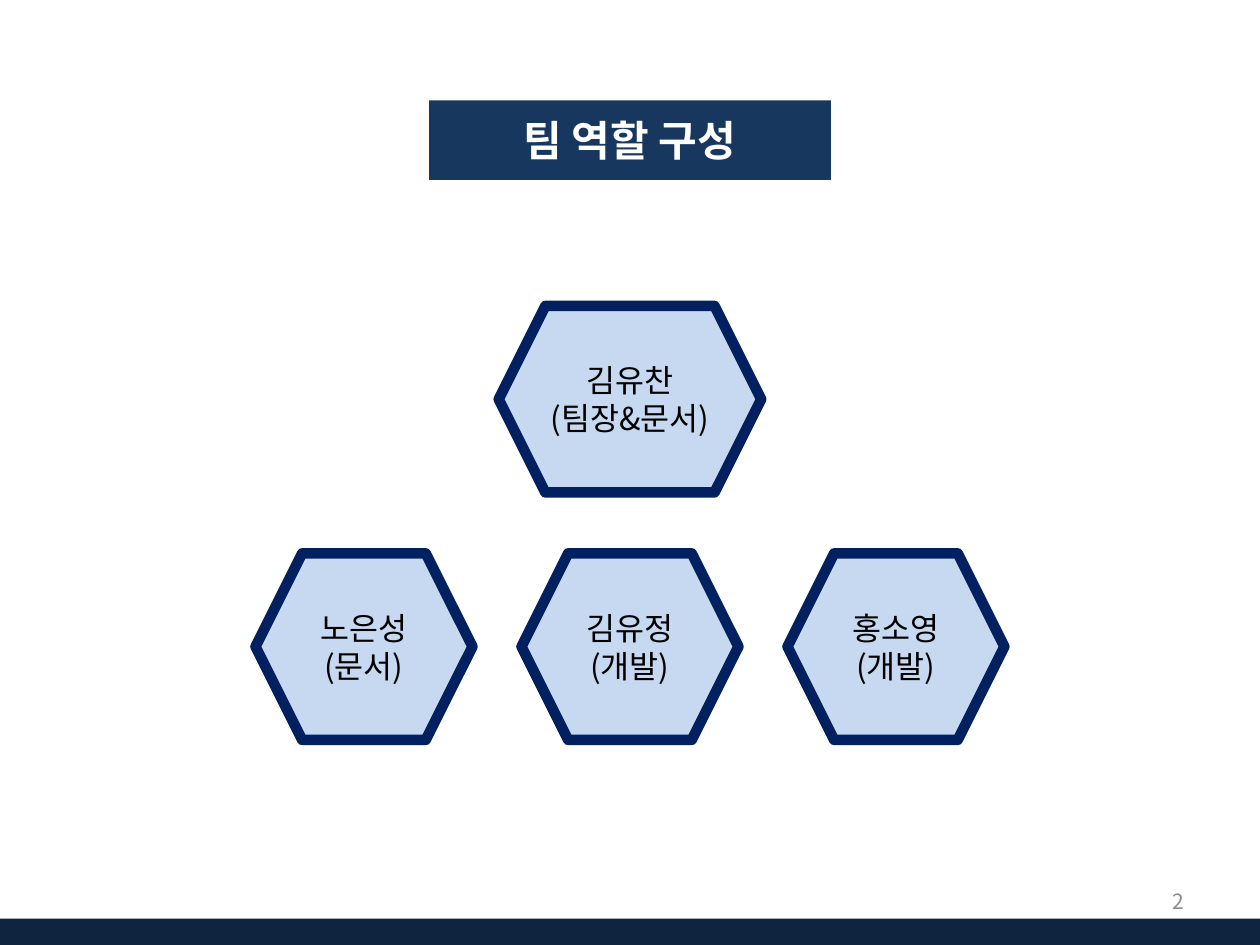
"""Build the team roles slide."""
from lxml.etree import SubElement
from pptx import Presentation
from pptx.dml.color import RGBColor
from pptx.enum.shapes import MSO_SHAPE as Shape
from pptx.enum.text import MSO_ANCHOR as Anchor, PP_ALIGN as Align
from pptx.oxml.ns import qn
from pptx.util import Pt

TITLE = "팀 역할 구성"
LEADER = ("김유찬", "(팀장&문서)")
MEMBERS = [("노은성", "(문서)"), ("김유정", "(개발)"), ("홍소영", "(개발)")]
PAGE_NUMBER = "2"

FONT = "Noto Sans CJK KR"
WHITE = RGBColor(0xFF, 0xFF, 0xFF)
BLACK = RGBColor(0x00, 0x00, 0x00)
GREY = RGBColor(0x8C, 0x8C, 0x8C)
BAND = RGBColor(0x0F, 0x24, 0x3E)
BANNER = RGBColor(0x17, 0x37, 0x5E)
PALE_BLUE = RGBColor(0xC6, 0xD9, 0xF1)
NAVY = RGBColor(0x00, 0x20, 0x60)

TITLE_FORMAT = {"size": Pt(24), "bold": True, "color": WHITE}
ROLE_FORMAT = {"size": Pt(18), "color": BLACK}
NUMBER_FORMAT = {"size": Pt(12), "color": GREY}

SLIDE_W, SLIDE_H = 720, 540
TITLE_W, LEADER_W, MEMBER_W = 229.6, 150, 124
ROLE_H, MEMBER_STEP = 106.6, 152


def write(part, lines, text_format, align=Align.CENTER):
    frame = part.text_frame
    frame.word_wrap = True
    frame.vertical_anchor = Anchor.MIDDLE
    for index, line in enumerate(lines):
        paragraph = frame.add_paragraph() if index else frame.paragraphs[0]
        paragraph.alignment = align
        run = paragraph.add_run()
        run.text = line
        run.font.name = FONT
        SubElement(run.font._element, qn("a:ea"), typeface=FONT)
        for key, value in text_format.items():
            if key == "color":
                run.font.color.rgb = value
            else:
                setattr(run.font, key, value)


def add_block(slide, kind, center, top, width, height, fill, border=None):
    block = slide.shapes.add_shape(
        kind, Pt(center - width / 2), Pt(top), Pt(width), Pt(height))
    block.shadow.inherit = False
    block.fill.solid()
    block.fill.fore_color.rgb = fill
    if border is None:
        block.line.fill.background()
    else:
        block.line.color.rgb = border
        block.line.width = Pt(6)
    return block


def add_role(slide, lines, center, top, width):
    role = add_block(slide, Shape.HEXAGON, center, top, width, ROLE_H, PALE_BLUE, NAVY)
    write(role, lines, ROLE_FORMAT)


def main():
    deck = Presentation()
    deck.slide_width, deck.slide_height = Pt(SLIDE_W), Pt(SLIDE_H)
    slide = deck.slides.add_slide(deck.slide_layouts[6])
    middle = SLIDE_W / 2

    number = slide.shapes.add_textbox(Pt(516), Pt(500.5), Pt(168), Pt(28.8))
    write(number, [PAGE_NUMBER], NUMBER_FORMAT, Align.RIGHT)
    add_block(slide, Shape.RECTANGLE, middle, 525, SLIDE_W, 18.7, BAND)

    title = add_block(slide, Shape.RECTANGLE, middle, 57.4, TITLE_W, 45.4, BANNER)
    write(title, [TITLE], TITLE_FORMAT)

    add_role(slide, LEADER, middle, 174.8, LEADER_W)
    first = middle - MEMBER_STEP * (len(MEMBERS) - 1) / 2
    for index, member in enumerate(MEMBERS):
        add_role(slide, member, first + index * MEMBER_STEP, 316.2, MEMBER_W)

    deck.save("out.pptx")


if __name__ == "__main__":
    main()
